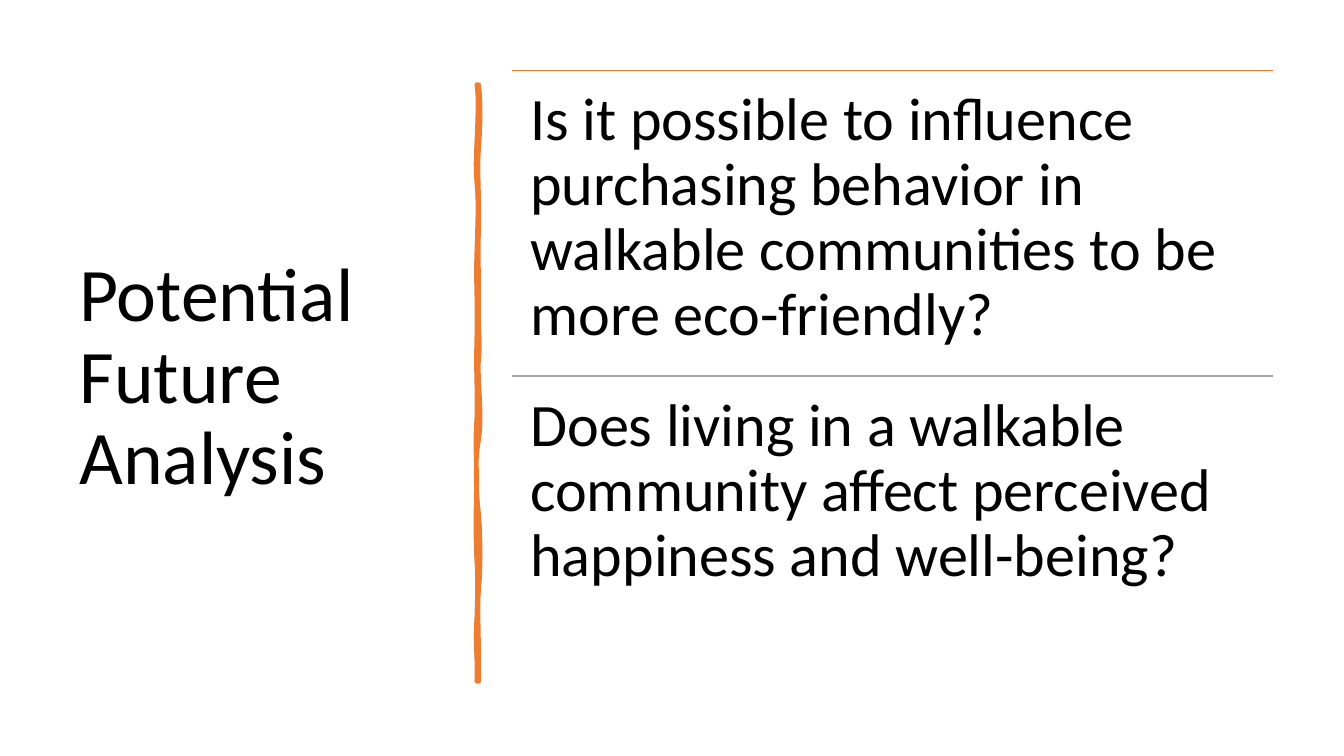
from pptx import Presentation
from pptx.dml.color import RGBColor
from pptx.enum.shapes import MSO_CONNECTOR as CONN
from pptx.enum.text import MSO_ANCHOR as ANCHOR
from pptx.oxml.ns import qn
from pptx.util import Pt
from lxml.etree import SubElement


def rgb(value):
    return RGBColor.from_string(value)


def add_text(text, left, top, width, height, size, inset_x, inset_y, anchor):
    sp = s.shapes.add_textbox(Pt(left), Pt(top), Pt(width), Pt(height))
    tf = sp.text_frame
    tf.word_wrap = True
    tf.vertical_anchor = anchor
    tf.margin_left = tf.margin_right = Pt(inset_x)
    tf.margin_top = tf.margin_bottom = Pt(inset_y)
    p = tf.paragraphs[0]
    p.text = text
    p.line_spacing = 0.9
    r = p.runs[0]
    r.font.name = "Calibri"
    r.font.size = Pt(size)
    r.font.color.rgb = rgb("000000")


prs = Presentation()
prs.slide_width, prs.slide_height = Pt(960), Pt(540)
s = prs.slides.add_slide(prs.slide_layouts[6])

add_text("Potential Future Analysis", 49.7, 50.4, 269.3, 439.9, 54, 7.2, 3.6, ANCHOR.MIDDLE)

ORANGE = "ED7D31"
STROKE_TOP = 60.5
RIGHT_EDGE = [
    (343.4, 73.4, 343.4, 85.7, 105.1),
    (340.6, 124.6, 342.7, 140.4, 162.7),
    (341.3, 185, 342, 188.6, 211.7),
    (341.3, 234, 343.4, 246.2, 256.3),
    (340.6, 266.4, 344.9, 298.1, 313.9),
    (339.1, 329, 339.8, 348.5, 367.2),
    (343.4, 385.9, 343.4, 406.1, 420.5),
    (340.6, 434.2, 342.7, 468, 486.7),
]
LEFT_EDGE = [
    (341.3, 465.1, 339.1, 463.7, 441.4),
    (341.3, 419.8, 341.3, 410.4, 401),
    (339.8, 391.7, 339.8, 356.4, 343.4),
    (340.6, 330.5, 339.1, 320.4, 298.8),
    (341.3, 277.9, 339.8, 268.6, 241.2),
    (341.3, 214.6, 339.8, 202.3, 180),
    (341.3, 157, 342, 144, 130.3),
    (338.4, 117.4, 343.4, 74.9, STROKE_TOP),
]
STEPS = 8
points = []
y0 = STROKE_TOP
for x, edge in ((342, RIGHT_EDGE), (340.6, LEFT_EDGE)):
    points.append((Pt(x), Pt(y0)))
    for x1, y1, x2, y2, y3 in edge:
        for step in range(1, STEPS + 1):
            t = step / STEPS
            u = 1 - t
            a, b, c, d = u**3, 3 * u * u * t, 3 * u * t * t, t**3
            points.append((Pt(a * x + b * x1 + c * x2 + d * x),
                           Pt(a * y0 + b * y1 + c * y2 + d * y3)))
        y0 = y3

builder = s.shapes.build_freeform(*points[0])
builder.add_line_segments(points[1:], close=True)
sp = builder.convert_to_shape()
sp.shadow.inherit = False
sp.fill.solid()
sp.fill.fore_color.rgb = rgb(ORANGE)
sp.line.color.rgb = rgb(ORANGE)
sp.line.width = Pt(3.25)
SubElement(sp.line._get_or_add_ln(), qn("a:round"))

LEFT, TOP, WIDTH, ROW = 365.8, 50.4, 543.6, 218.2
questions = [
    ("Is it possible to influence purchasing behavior in walkable communities to be more eco-friendly?", ORANGE),
    ("Does living in a walkable community affect perceived happiness and well-being?", "A5A5A5"),
]
for i, (question, color) in enumerate(questions):
    top = TOP + i * ROW
    rule = s.shapes.add_connector(CONN.STRAIGHT, Pt(LEFT), Pt(top), Pt(LEFT + WIDTH), Pt(top))
    rule.line.color.rgb = rgb(color)
    rule.line.width = Pt(1)
    SubElement(rule._element.spPr, qn("a:effectLst"))
    add_text(question, LEFT, top, WIDTH, ROW, 43, 13, 13, ANCHOR.TOP)

prs.save("out.pptx")
